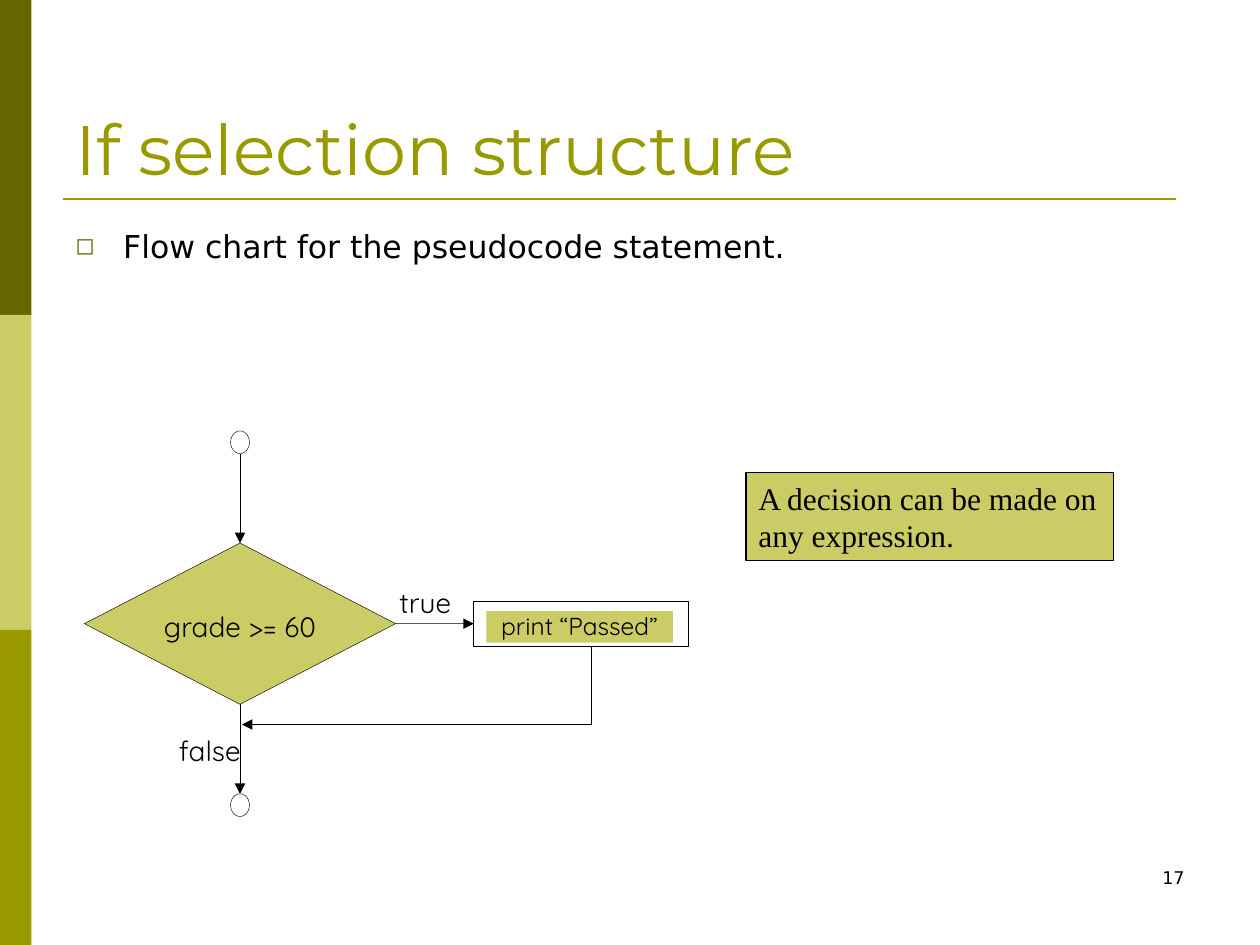
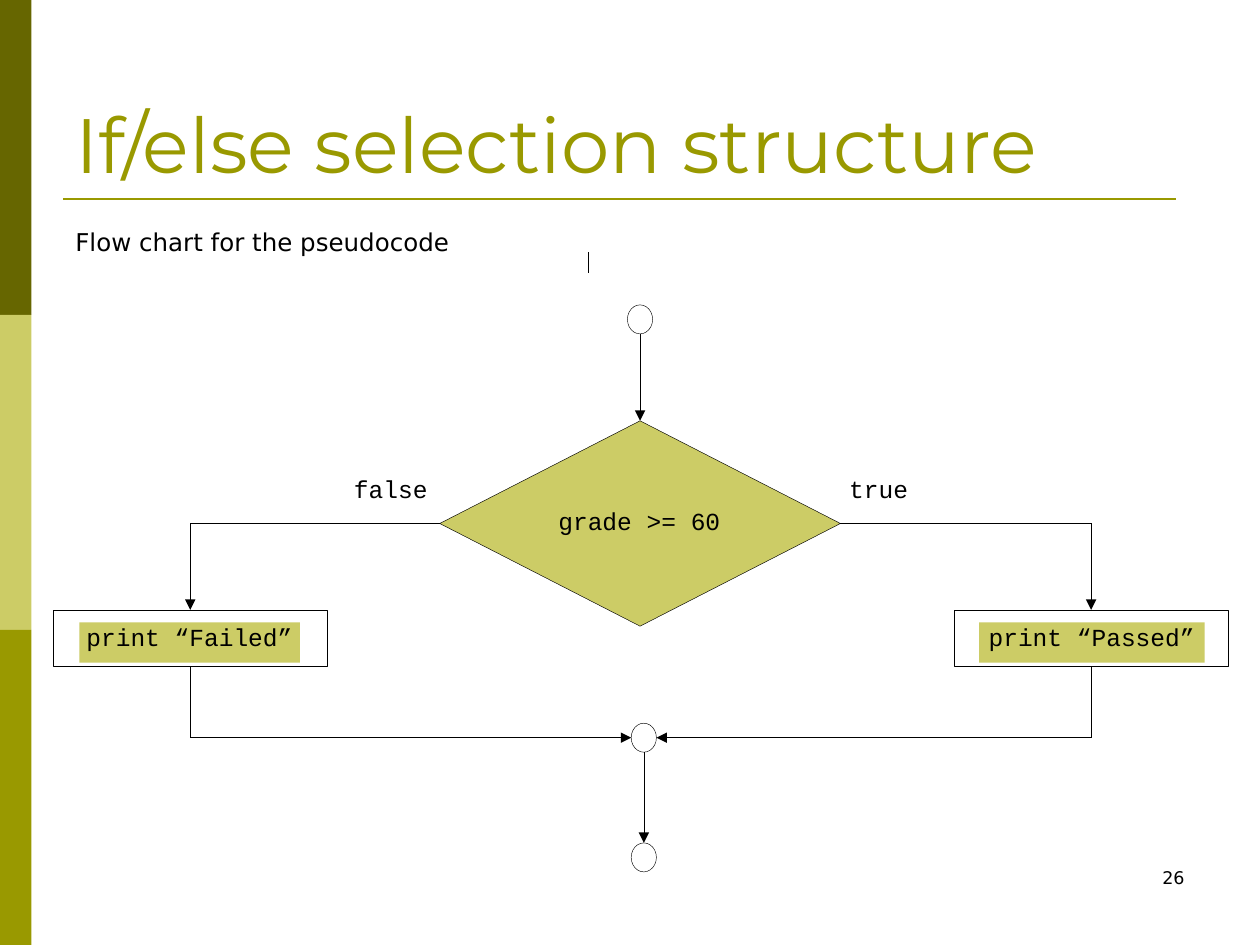
from lxml import etree
from pptx import Presentation
from pptx.dml.color import RGBColor
from pptx.enum.shapes import MSO_CONNECTOR, MSO_SHAPE
from pptx.enum.text import MSO_ANCHOR, PP_ALIGN
from pptx.oxml.ns import qn
from pptx.util import Inches, Pt

DARK_OLIVE = RGBColor(0x66, 0x66, 0x00)
OLIVE = RGBColor(0x99, 0x99, 0x00)
LIGHT_OLIVE = RGBColor(0xCC, 0xCC, 0x66)
BLACK = RGBColor(0, 0, 0)

TITLE_FONT = "Montserrat"
BODY_FONT = "DejaVu Sans"
NOTE_FONT = "Times New Roman"

THIN = 0.25
TOP, LEFT, BOTTOM, RIGHT = range(4)


def write_text(shape, text, size, font, color=BLACK, align=PP_ALIGN.LEFT,
               anchor=MSO_ANCHOR.TOP, inset=(0, 0), space_before=0):
    """Fill a shape with one paragraph; inset is (horizontal, vertical) inches."""
    frame = shape.text_frame
    frame.word_wrap = True
    frame.vertical_anchor = anchor
    frame.margin_left = frame.margin_right = Inches(inset[0])
    frame.margin_top = frame.margin_bottom = Inches(inset[1])
    paragraph = frame.paragraphs[0]
    paragraph.alignment = align
    paragraph.space_before = Pt(space_before)
    run = paragraph.add_run()
    run.text = text
    run.font.size = Pt(size)
    run.font.name = font
    run.font.color.rgb = color
    return paragraph


def add_text(slide, box, text, size, font, **text_format):
    text_box = slide.shapes.add_textbox(*map(Inches, box))
    return write_text(text_box, text, size, font, **text_format)


def add_bullet(paragraph):
    """Give the paragraph a hanging square bullet."""
    properties = paragraph._p.get_or_add_pPr()
    properties.set("marL", str(Inches(0.38)))
    properties.set("indent", str(Inches(-0.38)))
    color = etree.SubElement(properties, qn("a:buClr"))
    etree.SubElement(color, qn("a:srgbClr"), val=str(DARK_OLIVE))
    etree.SubElement(properties, qn("a:buSzPct"), val="75000")
    etree.SubElement(properties, qn("a:buFont"), typeface=BODY_FONT)
    etree.SubElement(properties, qn("a:buChar"), char="◻")


def add_shape(slide, kind, box, fill=None, line_width=None):
    shape = slide.shapes.add_shape(kind, *map(Inches, box))
    shape.shadow.inherit = False
    if fill is None:
        shape.fill.background()
    else:
        shape.fill.solid()
        shape.fill.fore_color.rgb = fill
    if line_width is None:
        shape.line.fill.background()
    else:
        shape.line.color.rgb = BLACK
        shape.line.width = Pt(line_width)
    return shape


def add_circle(slide, left, top, width, height):
    return add_shape(slide, MSO_SHAPE.OVAL, (left, top, width, height), line_width=THIN)


def add_decision(slide, box, label_box, size, font):
    diamond = add_shape(slide, MSO_SHAPE.DIAMOND, box, LIGHT_OLIVE, THIN)
    add_text(slide, label_box, "grade >= 60", size, font, align=PP_ALIGN.CENTER)
    return diamond


def add_action(slide, box, label_box, text, font):
    """Draw an outlined step with a filled label inside; return the outline."""
    outline = add_shape(slide, MSO_SHAPE.RECTANGLE, box, line_width=THIN)
    label = add_shape(slide, MSO_SHAPE.RECTANGLE, label_box, LIGHT_OLIVE)
    write_text(label, text, 14, font, align=PP_ALIGN.CENTER)
    return outline


def side_point(shape, side):
    """Return the middle of one side of a shape."""
    x = shape.left + {LEFT: 0, RIGHT: shape.width}.get(side, shape.width // 2)
    y = shape.top + {TOP: 0, BOTTOM: shape.height}.get(side, shape.height // 2)
    return x, y


def add_line(slide, start, end, color=BLACK, width=THIN, arrow=False):
    """Draw a line between ends, each a point or a (shape, side) pair."""
    joins = [None if isinstance(place[0], int) else place for place in (start, end)]
    points = [side_point(*join) if join else place
              for join, place in zip(joins, (start, end))]
    line = slide.shapes.add_connector(MSO_CONNECTOR.STRAIGHT, *points[0], *points[1])
    for join, connect in zip(joins, (line.begin_connect, line.end_connect)):
        if join and join[0].auto_shape_type != MSO_SHAPE.OVAL:
            connect(*join)
    line.line.color.rgb = color
    line.line.width = Pt(width)
    if arrow:
        etree.SubElement(line.line._get_or_add_ln(), qn("a:tailEnd"), type="triangle")
    etree.SubElement(line._element.spPr, qn("a:effectLst"))
    return line


def point(x, y):
    return Inches(x), Inches(y)


def add_framed_slide(presentation, title, title_size, number):
    """Add a slide with the side bands, title, rule and slide number."""
    slide = presentation.slides.add_slide(presentation.slide_layouts[6])
    for row, color in enumerate((DARK_OLIVE, LIGHT_OLIVE, OLIVE)):
        add_shape(slide, MSO_SHAPE.RECTANGLE, (0, 2.5 * row, 0.25, 2.5), color)
    add_line(slide, point(0.5, 1.58), point(9.33, 1.58), OLIVE, 1.5)
    add_text(slide, (0.5, 0.3, 9, 1.25), title, title_size, TITLE_FONT, color=OLIVE,
             anchor=MSO_ANCHOR.BOTTOM, inset=(0.1, 0.05))
    add_text(slide, (7.17, 6.83, 2.33, 0.5), number, 10, BODY_FONT,
             align=PP_ALIGN.RIGHT, inset=(0.1, 0.05))
    return slide


def add_body(slide, text, size, space_before):
    return add_text(slide, (0.5, 1.75, 9, 4.95), text, size, BODY_FONT,
                    inset=(0.1, 0.05), space_before=space_before)


def build_if_slide(presentation):
    slide = add_framed_slide(presentation, "If selection structure", 40, "17")
    add_bullet(add_body(slide, "Flow chart for the pseudocode statement.", 18, 4.5))

    font = "Quicksand"
    start = add_circle(slide, 1.83, 3.42, 0.15, 0.18)
    finish = add_circle(slide, 1.83, 6.3, 0.15, 0.18)
    decision = add_decision(slide, (0.67, 4.31, 2.47, 1.28),
                            (1.21, 4.84, 1.39, 0.27), 16, font)
    passed = add_action(slide, (3.76, 4.77, 1.7, 0.36), (3.86, 4.85, 1.48, 0.25),
                        "print “Passed”", font)
    add_text(slide, (3.17, 4.65, 0.55, 0.36), "true", 16, font)
    add_text(slide, (1.42, 5.82, 0.67, 0.36), "false", 16, font)

    add_line(slide, (start, BOTTOM), (decision, TOP), arrow=True)
    add_line(slide, (decision, BOTTOM), (finish, TOP), arrow=True)
    add_line(slide, (decision, RIGHT), (passed, LEFT), arrow=True)
    corner = point(4.69, 5.75)
    add_line(slide, point(4.69, 5.13), corner)
    add_line(slide, corner, point(1.92, 5.75), arrow=True)

    note = add_shape(slide, MSO_SHAPE.RECTANGLE, (5.92, 3.75, 2.92, 0.7),
                     LIGHT_OLIVE, 0.75)
    write_text(note, "A decision can be made on any expression.", 18, NOTE_FONT,
               inset=(0.1, 0.05), space_before=11.2)


def build_if_else_slide(presentation):
    slide = add_framed_slide(presentation, "If/else selection structure", 44, "26")
    add_body(slide, "Flow chart for the pseudocode", 14, 3.5)
    add_line(slide, point(4.67, 2), point(4.67, 2.17), width=0.75)

    font = "Courier New"
    start = add_circle(slide, 4.98, 2.42, 0.2, 0.23)
    merge = add_circle(slide, 5.01, 5.74, 0.2, 0.23)
    finish = add_circle(slide, 5.01, 6.69, 0.2, 0.23)
    decision = add_decision(slide, (3.49, 3.34, 3.18, 1.63),
                            (4.18, 4.02, 1.79, 0.36), 14, font)
    failed = add_action(slide, (0.42, 4.84, 2.18, 0.45), (0.63, 4.94, 1.75, 0.32),
                        "print “Failed”", font)
    passed = add_action(slide, (7.57, 4.84, 2.18, 0.45), (7.77, 4.94, 1.79, 0.32),
                        "print “Passed”", font)
    add_text(slide, (2.81, 3.76, 0.86, 0.45), "false", 14, font)
    add_text(slide, (6.74, 3.76, 0.7, 0.45), "true", 14, font)

    add_line(slide, (start, BOTTOM), (decision, TOP), arrow=True)
    add_line(slide, (merge, BOTTOM), (finish, TOP), arrow=True)
    for action, side in ((failed, LEFT), (passed, RIGHT)):
        action_x = side_point(action, TOP)[0]
        upper_corner = action_x, side_point(decision, side)[1]
        lower_corner = action_x, side_point(merge, side)[1]
        add_line(slide, (decision, side), upper_corner)
        add_line(slide, upper_corner, (action, TOP), arrow=True)
        add_line(slide, (action, BOTTOM), lower_corner)
        add_line(slide, lower_corner, (merge, side), arrow=True)


def main():
    presentation = Presentation()
    presentation.slide_width = Inches(10)
    presentation.slide_height = Inches(7.5)
    build_if_slide(presentation)
    build_if_else_slide(presentation)
    presentation.save("out.pptx")


if __name__ == "__main__":
    main()
